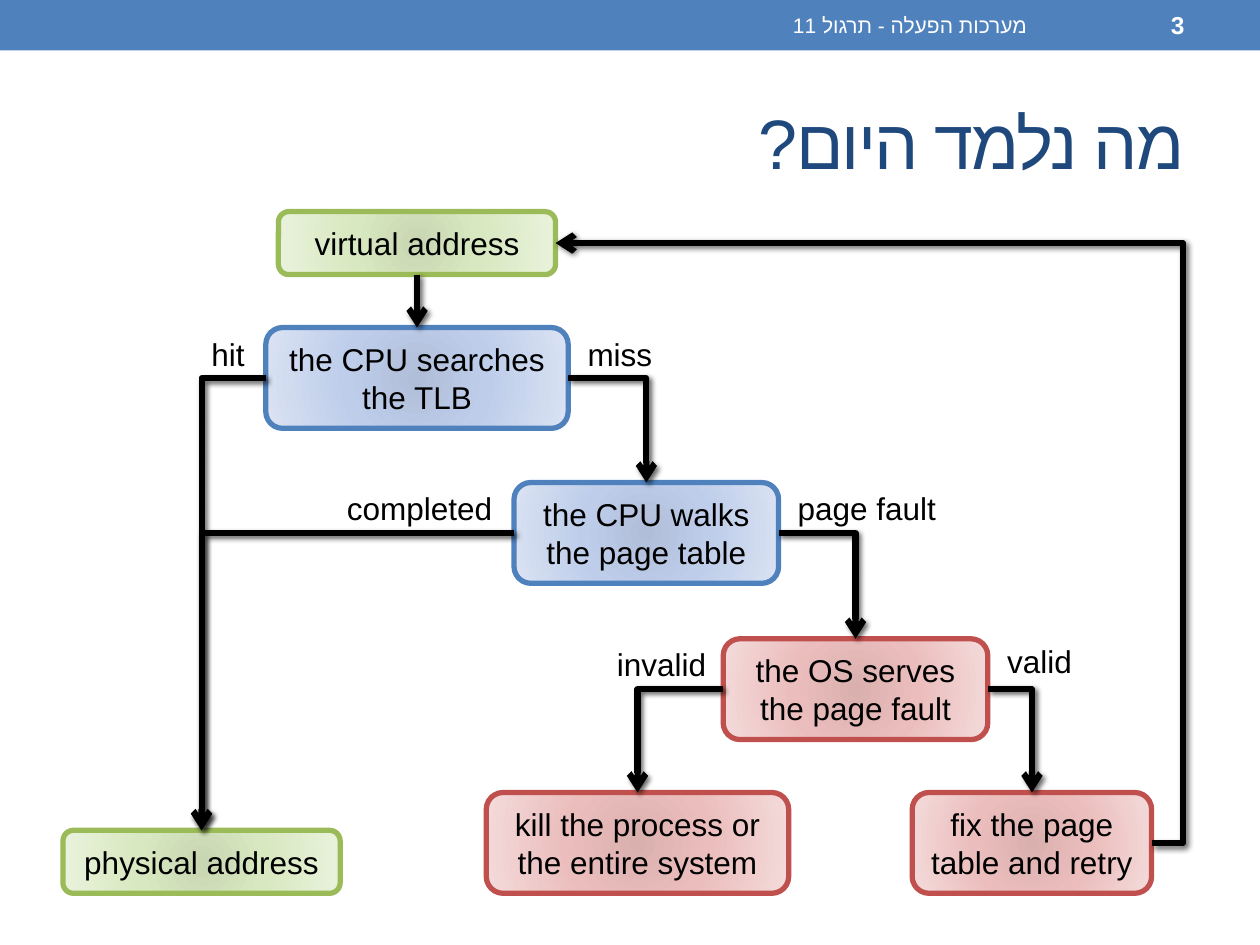
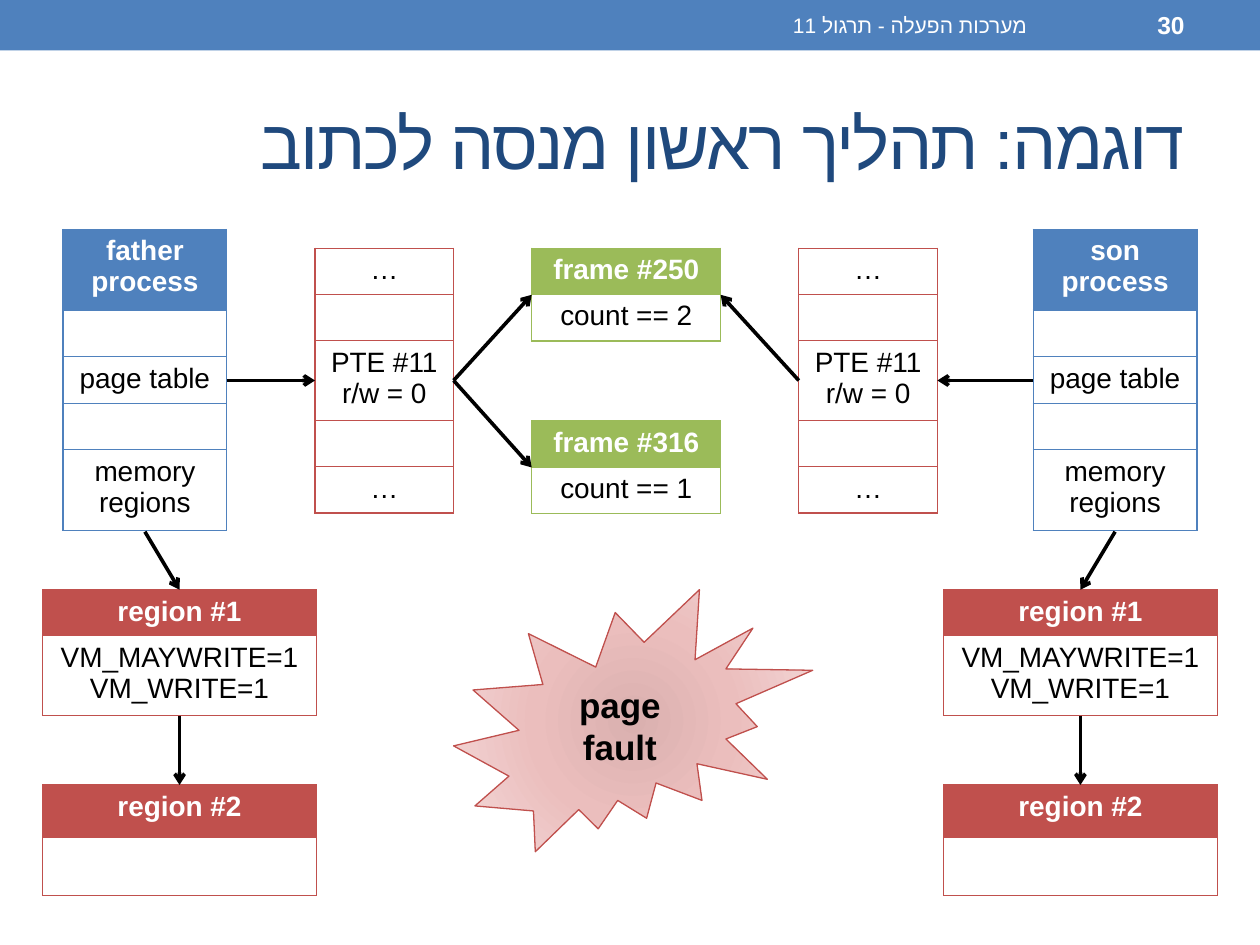
"""Build two operating-systems slides: address translation flow and a copy-on-write page fault."""
from lxml import etree
from pptx import Presentation
from pptx.dml.color import RGBColor
from pptx.enum.shapes import MSO_CONNECTOR, MSO_SHAPE
from pptx.enum.text import MSO_ANCHOR, PP_ALIGN
from pptx.oxml.ns import qn
from pptx.util import Inches, Pt

RECT, ROUND, BURST = MSO_SHAPE.RECTANGLE, MSO_SHAPE.ROUNDED_RECTANGLE, MSO_SHAPE.EXPLOSION2
STRAIGHT, ELBOW = MSO_CONNECTOR.STRAIGHT, MSO_CONNECTOR.ELBOW
CENTER, RIGHT = PP_ALIGN.CENTER, PP_ALIGN.RIGHT
TOP_ANCHOR, MIDDLE = MSO_ANCHOR.TOP, MSO_ANCHOR.MIDDLE
TOP, LEFT, BOTTOM, RIGHT_SIDE = range(4)

BLACK = RGBColor(0x00, 0x00, 0x00)
WHITE = RGBColor(0xFF, 0xFF, 0xFF)
NAVY = RGBColor(0x1F, 0x49, 0x7D)
BLUE = RGBColor(0x4F, 0x81, 0xBD)
GREEN = RGBColor(0x9B, 0xBB, 0x59)
RED = RGBColor(0xC0, 0x50, 0x4D)
TINTS = {
    BLUE: (RGBColor(0xB0, 0xBE, 0xD9), RGBColor(0xBE, 0xCD, 0xEA), RGBColor(0xDB, 0xE3, 0xF3)),
    GREEN: (RGBColor(0xC8, 0xD7, 0xB2), RGBColor(0xD8, 0xE8, 0xC0), RGBColor(0xE9, 0xF3, 0xDC)),
    RED: (RGBColor(0xDA, 0xB0, 0xAF), RGBColor(0xEB, 0xBE, 0xBD), RGBColor(0xF4, 0xDB, 0xDB)),
}
TINT_STOPS = (0, 45000, 100000)
FONT = "Arial"
COLUMNS, ROWS = 100, 75
FOOTER = "מערכות הפעלה - תרגול 11"


def add_xml(parent, tag, **attributes):
    """Append a drawing element and return it."""
    return etree.SubElement(parent, qn(f"a:{tag}"), attributes)


class Deck:
    """Holds the shared style, the grid and the current page."""

    def __init__(self):
        """Start an empty deck of 10 by 7.5 inches."""
        self.presentation = Presentation()
        self.presentation.slide_width = Inches(10)
        self.presentation.slide_height = Inches(7.5)
        self.page = None

    def grid(self, column, row, width, height):
        """Turn grid cells into slide lengths."""
        across = self.presentation.slide_width / COLUMNS
        down = self.presentation.slide_height / ROWS
        return round(column * across), round(row * down), round(width * across), round(height * down)

    def new_page(self, title, number):
        """Add a page with its band, title, number and footer."""
        blank = self.presentation.slide_layouts[6]
        self.page = self.presentation.slides.add_slide(blank).shapes
        band = self.page.add_shape(RECT, *self.grid(0, 0, COLUMNS, 4))
        band.shadow.inherit = False
        band.fill.solid()
        band.fill.fore_color.rgb = BLUE
        band.line.fill.background()
        heading = self.text(title, (5, 5.8, 90, 10.8), 40, NAVY, rtl=True)
        for span in heading.text_frame.paragraphs[0].runs:
            span._r.get_or_add_rPr().set("spc", "-100")
        self.text(number, (83.3, 0.2, 11.7, 3.6), 14, WHITE, bold=True, rtl=True)
        self.text(FOOTER, (37.5, 0.2, 45, 3.6), 12, WHITE, rtl=True)

    def format(self, frame, size, color, bold=False, rtl=False):
        """Format every run of a text frame."""
        frame.word_wrap = True
        for para in frame.paragraphs:
            para.alignment = RIGHT if rtl else CENTER
            if rtl:
                para._p.get_or_add_pPr().set("rtl", "1")
            for span in para.runs:
                span.font.size, span.font.bold, span.font.name = Pt(size), bold, FONT
                span.font.color.rgb = color
                add_xml(span._r.get_or_add_rPr(), "cs", typeface=FONT)

    def text(self, words, place, size=18, color=BLACK, bold=False, rtl=False):
        """Add a text box; right-to-left text is centred vertically."""
        box = self.page.add_textbox(*self.grid(*place))
        box.text_frame.text = words
        box.text_frame.vertical_anchor = MIDDLE if rtl else TOP_ANCHOR
        self.format(box.text_frame, size, color, bold, rtl)
        return box

    def box(self, words, place, hue, outline=ROUND, weight=3, size=18, bold=False):
        """Add a shape with a radial tint and centred text."""
        box = self.page.add_shape(outline, *self.grid(*place))
        box.shadow.inherit = False
        box.line.color.rgb, box.line.width = hue, Pt(weight)
        gradient = etree.Element(qn("a:gradFill"), rotWithShape="1")
        stops = add_xml(gradient, "gsLst")
        for position, tint in zip(TINT_STOPS, TINTS[hue]):
            add_xml(add_xml(stops, "gs", pos=str(position)), "srgbClr", val=str(tint))
        add_xml(add_xml(gradient, "path", path="circle"), "fillToRect",
                **dict.fromkeys("ltrb", "100000"))
        box._element.spPr.find(qn("a:prstGeom")).addnext(gradient)
        box.text_frame.text = words
        box.text_frame.vertical_anchor = MIDDLE
        self.format(box.text_frame, size, BLACK, bold)
        return box

    def arrow(self, start, end, kind=STRAIGHT, weight=2.08):
        """Add an arrow between two grid points and return it."""
        arrow = self.page.add_connector(kind, *self.grid(*start, *end))
        arrow.line.color.rgb, arrow.line.width = BLACK, Pt(weight)
        properties = arrow._element.spPr
        add_xml(properties.find(qn("a:ln")), "tailEnd", type="arrow")
        add_xml(properties, "effectLst")
        return arrow

    def link(self, source, source_side, target, target_side, kind=ELBOW, overshoot=None):
        """Glue a shadowed arrow to the sides of two boxes."""
        arrow = self.arrow((0, 0), (0, 0), kind, 3.5)
        arrow.begin_connect(source, source_side)
        arrow.end_connect(target, target_side)
        properties = arrow._element.spPr
        shadow = add_xml(properties.find(qn("a:effectLst")), "outerShdw",
                         blurRad="38100", dist="25400", dir="2700000")
        add_xml(add_xml(shadow, "srgbClr", val=str(BLACK)), "alpha", val="60000")
        geometry = properties.find(qn("a:prstGeom"))
        if overshoot is not None:
            guides = geometry.find(qn("a:avLst"))
            add_xml(guides, "gd", name="adj1", fmla=f"val {overshoot}")
        elif kind == ELBOW:
            geometry.set("prst", "bentConnector2")

    def table(self, rows, heights, place, hue, header=True):
        """Add a one-column outlined table at (column, row, width)."""
        frame = self.page.add_table(len(rows), 1, *self.grid(*place, sum(heights)))
        table = frame.table
        table.first_row = table.horz_banding = False
        for index, (words, height) in enumerate(zip(rows, heights)):
            table.rows[index].height = self.grid(0, 0, 0, height)[3]
            cell = table.cell(index, 0)
            is_header = header and index == 0
            cell.text = words
            self.format(cell.text_frame, 16, WHITE if is_header else BLACK, is_header)
            if not words:
                add_xml(cell.text_frame.paragraphs[0]._p, "endParaRPr", sz="1600")
            properties = cell._tc.get_or_add_tcPr()
            for side in "LRTB":
                border = add_xml(properties, f"ln{side}", w=str(Pt(0.75)))
                add_xml(add_xml(border, "solidFill"), "srgbClr", val=str(hue))
            if is_header:
                cell.fill.solid()
                cell.fill.fore_color.rgb = hue
            else:
                cell.fill.background()


def translation_page(deck):
    """Draw the flow from a virtual to a physical address."""
    deck.new_page("מה נלמד היום?", "3")
    virtual = deck.box("virtual address", (22.1, 16.8, 22, 5), GREEN)
    physical = deck.box("physical address", (5, 65.9, 22, 5), GREEN)
    search = deck.box("the CPU searches the TLB", (21.1, 26, 24, 8), BLUE)
    walk = deck.box("the CPU walks the page table", (40.8, 38.3, 21, 8), BLUE)
    serve = deck.box("the OS serves the page fault", (57.4, 50.7, 21, 8), RED)
    kill = deck.box("kill the process or the entire system", (38.6, 62.9, 24, 8), RED)
    fix = deck.box("fix the page table and retry", (72.4, 62.9, 19, 8), RED)
    for words, column, row, width in (
        ("hit", 15.1, 26.1, 6), ("miss", 45.2, 26.1, 8),
        ("completed", 25.8, 38.3, 15), ("page fault", 61.8, 38.3, 14),
        ("invalid", 47.5, 50.7, 10), ("valid", 78.5, 50.5, 8),
    ):
        deck.text(words, (column, row, width, 4))
    deck.link(virtual, BOTTOM, search, TOP, STRAIGHT)
    for source, if_left, if_right in (
        (search, physical, walk), (walk, physical, serve), (serve, kill, fix),
    ):
        deck.link(source, LEFT, if_left, TOP)
        deck.link(source, RIGHT_SIDE, if_right, TOP)
    deck.link(fix, RIGHT_SIDE, virtual, RIGHT_SIDE, overshoot=-5300)


def write_fault_page(deck):
    """Draw two processes that share page frames."""
    deck.new_page("דוגמה: תהליך ראשון מנסה לכתוב", "30")
    for number, count, row in ((250, 2, 19.7), (316, 1, 33.4)):
        deck.table((f"frame #{number}", f"count == {count}"), (3.5, 3.7), (42.2, row, 15), GREEN)
    for owner, process, process_edge, entries, entries_edge, entries_exit, frame_edge, region in (
        ("father", 5, 18, 25, 25, 36, 42.2, 3.4),
        ("son", 82, 82, 63.4, 74.4, 63.4, 57.2, 74.9),
    ):
        deck.table((f"{owner} process", "", "page table", "", "memory regions"),
                   (6.4, 3.7, 3.7, 3.7, 6.4), (process, 18.2, 13), BLUE)
        deck.table(("…", "", "PTE #11\vr/w = 0", "", "…"),
                   (3.5, 3.5, 6, 3.5, 3.5), (entries, 19.7, 11), RED, header=False)
        deck.table(("region #1", "VM_MAYWRITE=1\nVM_WRITE=1"), (3.5, 6), (region, 46.8, 21.7), RED)
        deck.table(("region #2", ""), (4.2, 4.6), (region, 62.3, 21.7), RED)
        region_middle = region + 21.7 / 2
        deck.arrow((process_edge, 30.2), (entries_edge, 30.2))
        deck.arrow((entries_exit, 30.2), (frame_edge, 23.4))
        deck.arrow((process + 6.5, 42.2), (region_middle, 46.8))
        deck.arrow((region_middle, 56.8), (region_middle, 62.3))
    deck.arrow((36, 30.2), (42.2, 37.1))
    deck.box("page fault", (36, 46.8, 28.5, 20.8), RED, BURST, 0.75, 20, True)


def main():
    """Build both pages and save the deck."""
    deck = Deck()
    translation_page(deck)
    write_fault_page(deck)
    deck.presentation.save("out.pptx")


if __name__ == "__main__":
    main()
